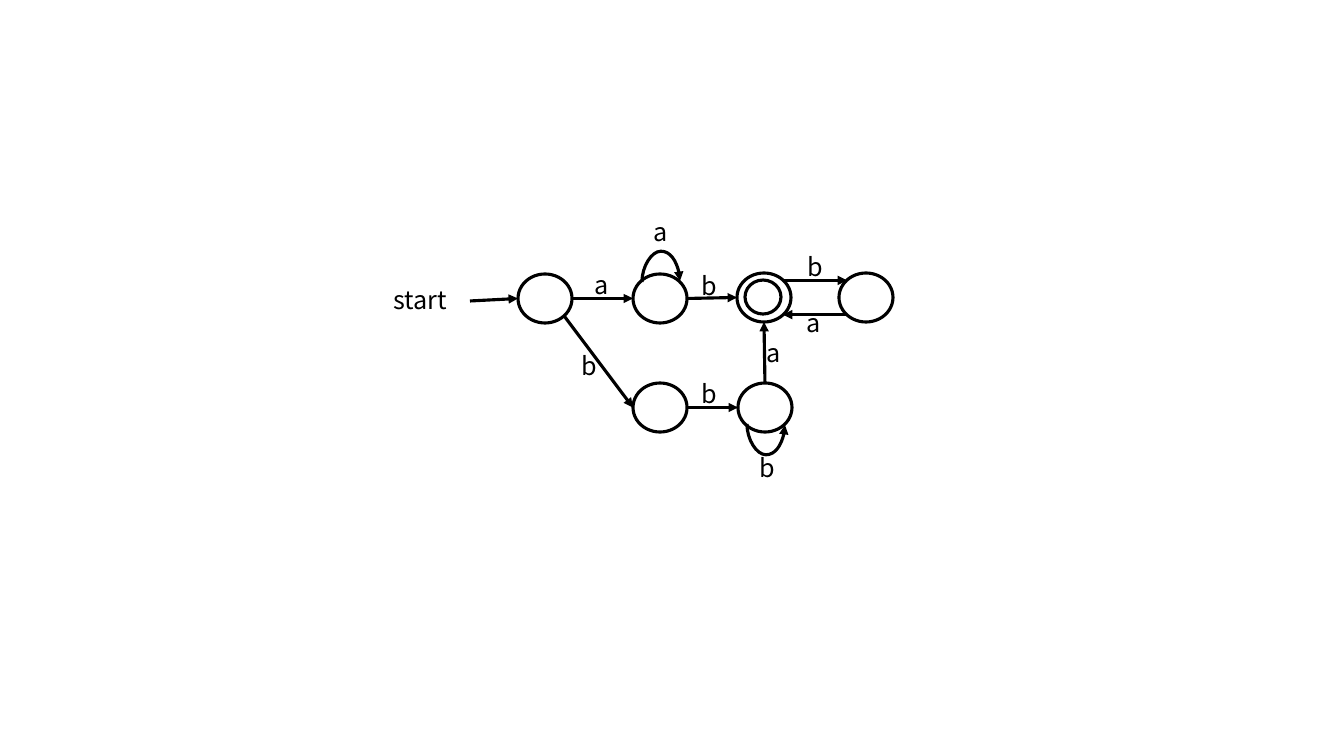
"""Draw a finite automaton over a and b on one slide."""
from lxml import etree
from pptx import Presentation
from pptx.dml.color import RGBColor
from pptx.enum.shapes import MSO_CONNECTOR as Link, MSO_SHAPE as Shape
from pptx.enum.text import MSO_ANCHOR as Anchor, MSO_AUTO_SIZE as Fit, PP_ALIGN as Align
from pptx.oxml.ns import qn
from pptx.util import Emu, Pt

SCALE = 914400 / 100.8
INK, PAPER = "000000", "FFFFFF"
FONT = {"name": "Noto Sans CJK SC", "size": Pt(18)}
NODE = (54, 49)
LABEL = (106, 40)
START = (367, 263, 106, 73)
CORE = (745, 280, 36, 34)
NODES = {
    "first": (518, 274),
    "top": (633, 274),
    "low": (633, 383),
    "last": (738, 383),
    "final": (737, 273),
    "side": (839, 273),
}
PORTS = {
    "left": (0, 0.5), "right": (1, 0.5), "up": (0.5, 0), "down": (0.5, 1),
    "upleft": (0.15, 0.15), "upright": (0.85, 0.15),
    "downleft": (0.15, 0.85), "downright": (0.85, 0.85),
}
ENTRY = (470, 301)
ARROWS = [
    ("first", "right", "top", "left"),
    ("first", "downright", "low", "left"),
    ("low", "right", "last", "left"),
    ("top", "right", "final", "left"),
    ("last", "up", "final", "down"),
    ("final", "upright", "side", "upleft"),
    ("side", "downleft", "final", "downright"),
]
LOOPS = [(661, 281.5, 1), (766, 424.5, -1)]
SPAN, RISE = 38, 31
LABELS = [
    ("b", 536, 345), ("a", 608, 211), ("b", 714, 447), ("b", 656, 373),
    ("a", 549, 264), ("b", 762, 246), ("a", 761, 302), ("a", 721, 332),
    ("b", 656, 265),
]


def px(*vals):
    """Turn pixel lengths into EMU."""
    return [Emu(round(v * SCALE)) for v in vals]


def color(code):
    """Return the colour of a hex string."""
    return RGBColor.from_string(code)


def stroke(line):
    """Give a line the common ink and width."""
    line.color.rgb = color(INK)
    line.width = Pt(2.25)


def write(frame, text):
    """Put one centred line of text in a frame."""
    para = frame.paragraphs[0]
    para.text = text
    para.alignment = Align.CENTER
    for key, val in FONT.items():
        setattr(para.font, key, val)
    para.font.color.rgb = color(INK)


def oval(slide, box):
    """Add an ellipse without a shadow."""
    shape = slide.shapes.add_shape(Shape.OVAL, *px(*box))
    shape.shadow.inherit = False
    return shape


def state(slide, box):
    """Add an unfilled outlined ellipse."""
    shape = oval(slide, box)
    shape.fill.background()
    stroke(shape.line)


def arrow(slide, kind, tail, head):
    """Add a connector with a triangle at its end."""
    link = slide.shapes.add_connector(kind, *px(*tail, *head))
    stroke(link.line)
    props = link._element.spPr
    etree.SubElement(props.find(qn("a:ln")), qn("a:tailEnd"), type="triangle")
    etree.SubElement(props, qn("a:effectLst"))
    return props


def loop(slide, x, y, side):
    """Add a curved arrow above (1) or below (-1) a state."""
    half = SPAN / 2 * side
    props = arrow(slide, Link.CURVE, (x + 0.5, y + half), (x - 0.5, y - half))
    props.find(qn("a:xfrm")).set("rot", str(side * 90 % 360 * 60000))
    geom = props.find(qn("a:prstGeom"))
    guides = geom.find(qn("a:avLst"))
    if guides is None:
        guides = etree.SubElement(geom, qn("a:avLst"))
    etree.SubElement(guides, qn("a:gd"), name="adj1", fmla=f"val {RISE * 100000}")


def port(node, side):
    """Return the point on a state where an arrow meets it."""
    return [p + f * s for p, f, s in zip(NODES[node], PORTS[side], NODE)]


def main():
    """Build and save the slide."""
    deck = Presentation()
    deck.slide_width, deck.slide_height = px(1344, 756)
    slide = deck.slides.add_slide(deck.slide_layouts[6])

    start = oval(slide, START)
    start.fill.solid()
    start.fill.fore_color.rgb = color(PAPER)
    start.line.fill.background()
    frame = start.text_frame
    frame.margin_left = frame.margin_right = 0
    frame.vertical_anchor = Anchor.MIDDLE
    write(frame, "start")

    for spot in NODES.values():
        state(slide, (*spot, *NODE))
    state(slide, CORE)

    arrow(slide, Link.STRAIGHT, ENTRY, port("first", "left"))
    for tail, out, head, into in ARROWS:
        arrow(slide, Link.STRAIGHT, port(tail, out), port(head, into))
    for spot in LOOPS:
        loop(slide, *spot)

    for text, x, y in LABELS:
        frame = slide.shapes.add_textbox(*px(x, y, *LABEL)).text_frame
        frame.word_wrap = True
        frame.auto_size = Fit.SHAPE_TO_FIT_TEXT
        write(frame, text)

    deck.save("out.pptx")


if __name__ == "__main__":
    main()
